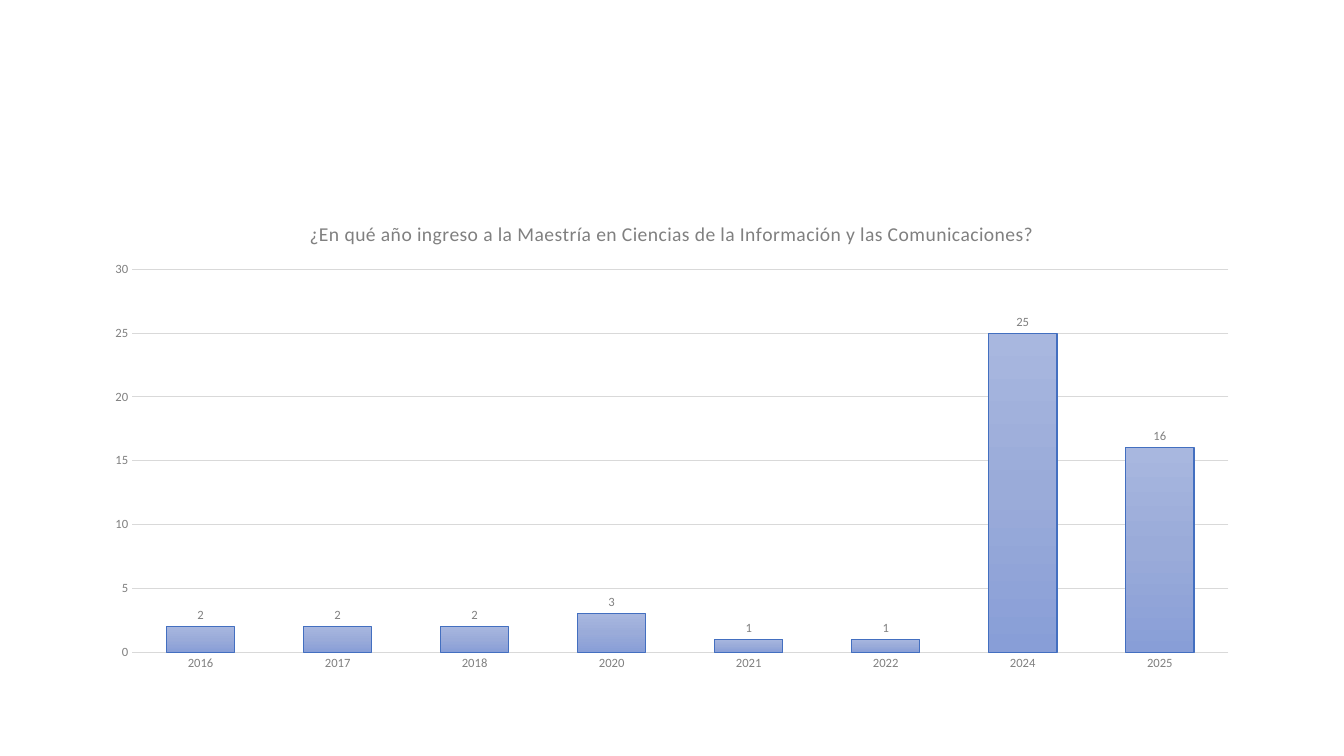
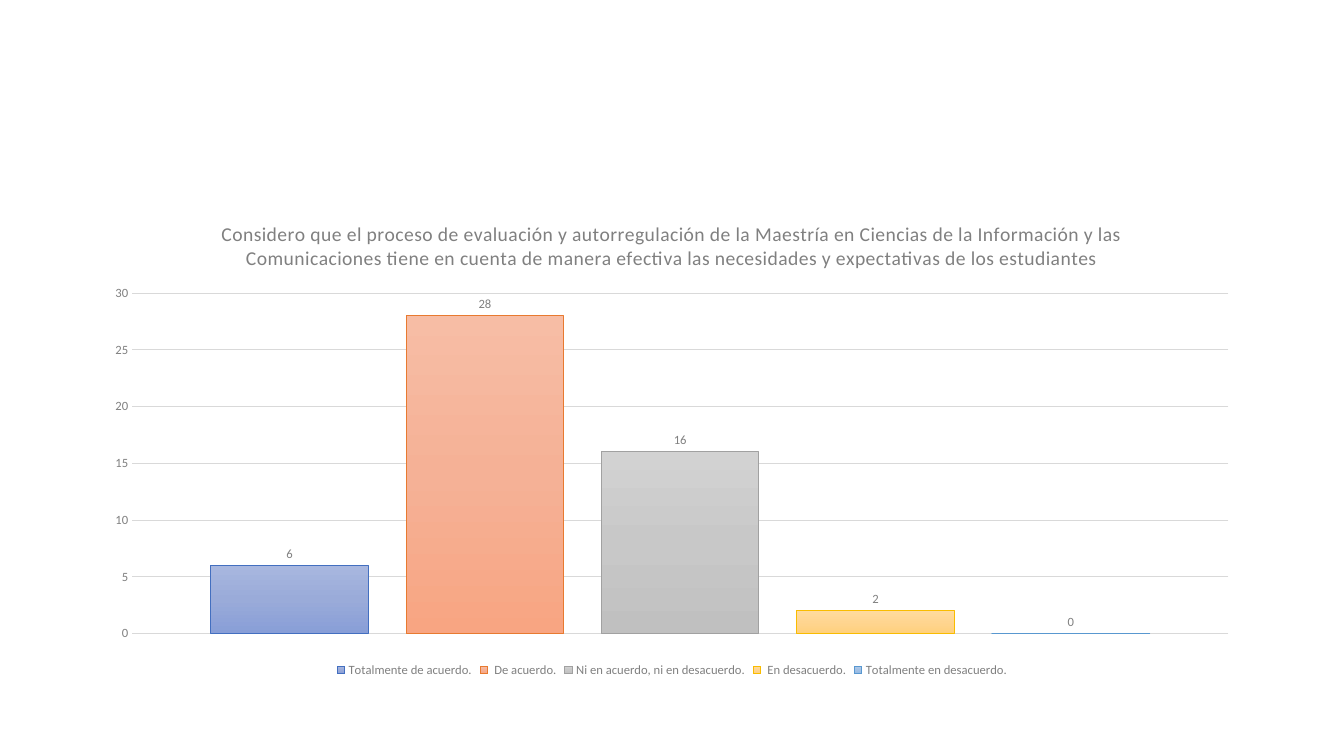
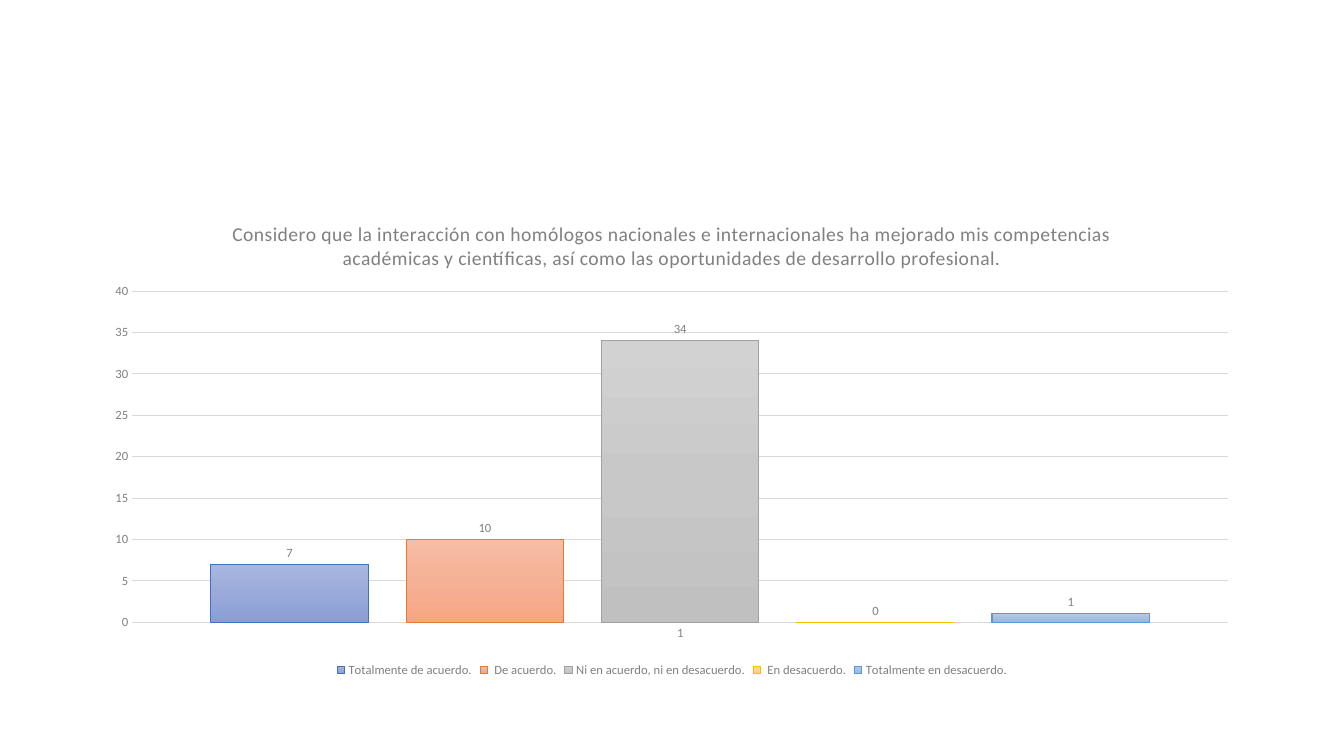
from copy import deepcopy

from pptx import Presentation
from pptx.chart.data import CategoryChartData as Data
from pptx.dml.color import RGBColor
from pptx.enum.chart import XL_CHART_TYPE as Kind
from pptx.enum.chart import XL_LABEL_POSITION as Spot
from pptx.enum.chart import XL_LEGEND_POSITION as Side
from pptx.enum.chart import XL_TICK_MARK as Tick
from pptx.oxml import parse_xml
from pptx.oxml.ns import nsdecls
from pptx.util import Pt

GRAY = RGBColor(0x80, 0x80, 0x80)
RULE = RGBColor(0xD9, 0xD9, 0xD9)
HUES = [[RGBColor.from_string(c) for c in row.split()] for row in (
    "A8B7DF 9AABD9 889ED7 436FC0",
    "F7BDA5 F5B196 F8A582 E87A30",
    "D2D2D2 C8C8C8 C0C0C0 A1A1A1",
    "FFDB9E FFD590 FFD07C F9BC00",
    "B1CBE9 A3C1E5 93B9E4 5998D0",
)]
SCALE = ("Totalmente de acuerdo.", " De acuerdo.",
         "Ni en acuerdo, ni en desacuerdo.", " En desacuerdo.",
         "Totalmente en desacuerdo.")
WIDE, HIGH = 828, 342.7


class Deck:
    """Hold the survey style and the current slide."""

    def __init__(self):
        self.prs = Presentation()
        self.prs.slide_width, self.prs.slide_height = Pt(960), Pt(540)

    def page(self):
        self.slide = self.prs.slides.add_slide(self.prs.slide_layouts[6])

    def font(self, font, size=9):
        font.name, font.size, font.bold = "Calibri", Pt(size), False
        font.color.rgb = GRAY

    def line(self, line, color):
        line.color.rgb, line.width = color, Pt(0.75)

    def chart(self, title, cats, rows, top, plot, tall):
        data = Data()
        data.categories = cats
        for name, vals in rows:
            data.add_series(name, vals)
        chart = self.slide.shapes.add_chart(
            Kind.COLUMN_CLUSTERED, Pt(66), Pt(144), Pt(WIDE), Pt(HIGH),
            data).chart
        self.font(chart.font, 10)
        self.title(chart, title)
        self.axes(chart, top)
        self.legend(chart, len(rows) > 1)
        self.place(chart, plot, tall)
        bars = chart.plots[0]
        bars.gap_width, bars.overlap, bars.vary_by_categories = 100, -24, False
        for ser, hue in zip(bars.series, HUES):
            self.bar(ser, hue)
        return chart

    def title(self, chart, text):
        chart.has_title = True
        run = chart.chart_title.text_frame.paragraphs[0].add_run()
        run.text = text
        self.font(run.font, 14)
        run.font._element.set("spc", "20")

    def axes(self, chart, top):
        cat, val = chart.category_axis, chart.value_axis
        for axis in (cat, val):
            axis.major_tick_mark = axis.minor_tick_mark = Tick.NONE
            self.font(axis.tick_labels.font)
        self.line(cat.format.line, RULE)
        val.format.line.fill.background()
        val.minimum_scale, val.maximum_scale, val.major_unit = 0, top, 5
        val.has_major_gridlines = True
        self.line(val.major_gridlines.format.line, RULE)

    def legend(self, chart, show):
        chart.has_legend = show
        if show:
            chart.legend.position = Side.BOTTOM
            chart.legend.include_in_layout = False
            self.font(chart.legend.font)

    def place(self, chart, top, tall):
        area = chart._chartSpace.xpath("c:chart/c:plotArea")[0]
        for old in area.xpath("c:layout"):
            area.remove(old)
        area.insert(0, parse_xml(
            f'<c:layout {nsdecls("c")}><c:manualLayout>'
            '<c:layoutTarget val="inner"/><c:xMode val="edge"/>'
            f'<c:yMode val="edge"/><c:x val="{28.4 / WIDE}"/>'
            f'<c:y val="{top / HIGH}"/><c:w val="{783 / WIDE}"/>'
            f'<c:h val="{tall / HIGH}"/></c:manualLayout></c:layout>'))

    def bar(self, ser, hue):
        ser.invert_if_negative = False
        fill = ser.format.fill
        fill.gradient()
        fill.gradient_angle = 270
        stops = ser._element.xpath(".//a:gsLst")[0]
        stops.insert(1, deepcopy(stops[0]))
        for stop, pos, color in zip(fill.gradient_stops, (0, 0.5, 1), hue):
            stop.position, stop.color.rgb = pos, color
        self.line(ser.format.line, hue[3])
        tags = ser.data_labels
        tags.show_value, tags.position = True, Spot.OUTSIDE_END
        self.font(tags.font)

    def poll(self, title, vals, top, plot, tall):
        self.page()
        rows = [(name, [val]) for name, val in zip(SCALE, vals)]
        return self.chart(title, ["1"], rows, top, plot, tall)


def main():
    deck = Deck()
    deck.page()
    deck.chart(
        "¿En qué año ingreso a la Maestría en Ciencias de la Información "
        "y las Comunicaciones?",
        "2016 2017 2018 2020 2021 2022 2024 2025".split(),
        [("Series 1", [2, 2, 2, 3, 1, 1, 25, 16])], 30, 48.4, 273.6)
    chart = deck.poll(
        "Considero que el proceso de evaluación y autorregulación de la "
        "Maestría en Ciencias de la Información y las Comunicaciones tiene "
        "en cuenta de manera efectiva las necesidades y expectativas de los "
        "estudiantes", [6, 28, 16, 2, 0], 30, 65.4, 243.2)
    chart.category_axis.visible = False
    deck.poll(
        "Considero que la interacción con homólogos nacionales e "
        "internacionales ha mejorado mis competencias académicas y "
        "científicas, así como las oportunidades de desarrollo profesional.",
        [7, 10, 34, 0, 1], 40, 64, 236.5)
    deck.prs.save("out.pptx")


if __name__ == "__main__":
    main()
